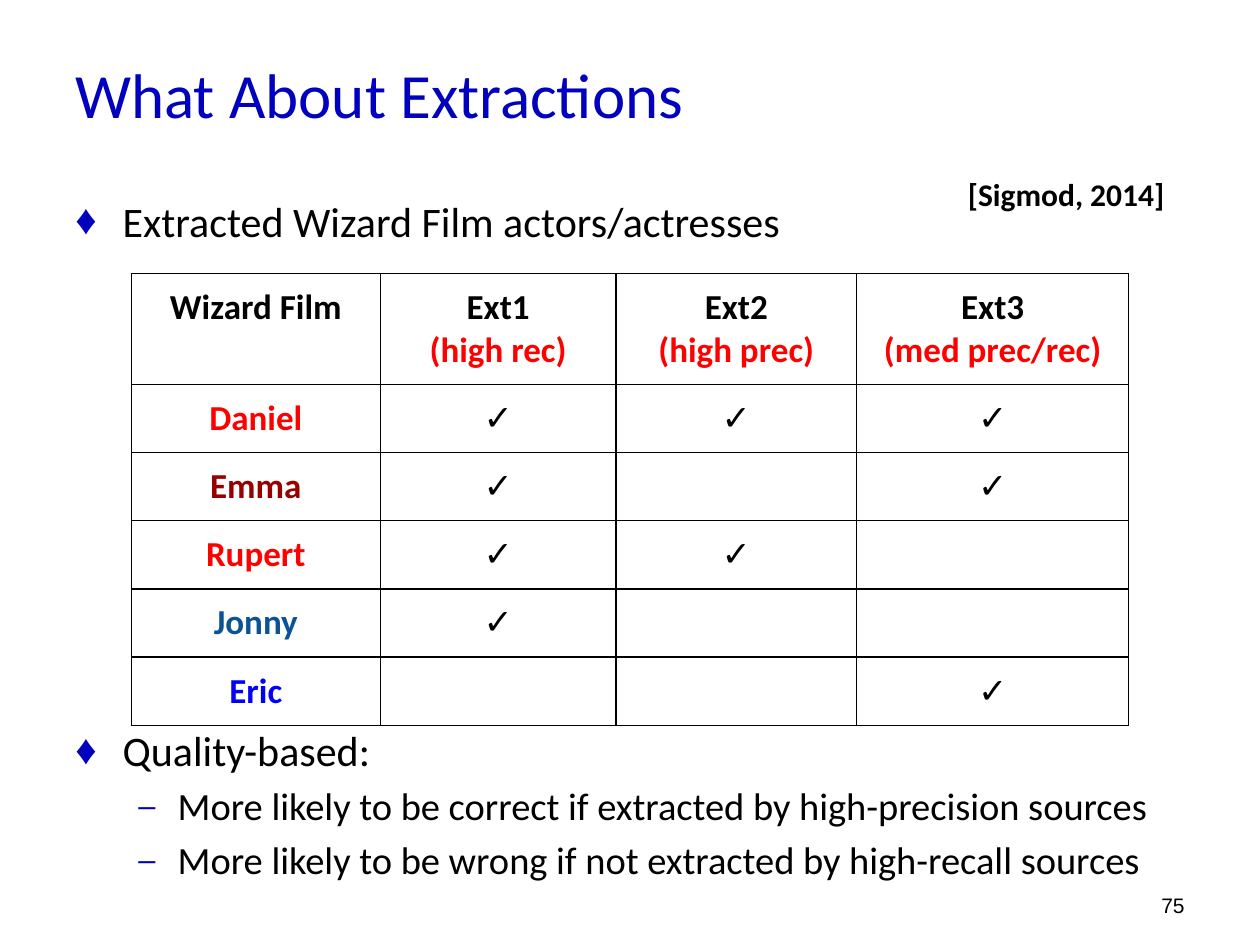
from lxml import etree
from pptx import Presentation
from pptx.dml.color import RGBColor
from pptx.enum import text
from pptx.oxml import ns
from pptx.util import Pt

PP, MSO = text.PP_ALIGN, text.MSO_ANCHOR


def rgb(value):
    return RGBColor.from_string(value)


def write(p, value, size, color="000000", name="Calibri", bold=False, align=PP.LEFT):
    p.alignment = align
    r = p.add_run()
    r.text = value
    for key, val in {"size": Pt(size), "name": name, "bold": bold}.items():
        setattr(r.font, key, val)
    r.font.color.rgb = rgb(color)


prs = Presentation()
prs.slide_width, prs.slide_height = Pt(720), Pt(540)
s = prs.slides.add_slide(prs.slide_layouts[6])

labels = [
    ((36, 22.3, 648, 62), MSO.MIDDLE, "What About Extractions",
     {"size": 36, "color": "0000BE"}),
    ((516, 491.8, 168, 36), MSO.BOTTOM, "75",
     {"size": 12, "name": "Arial", "align": PP.RIGHT}),
    ((546, 84.2, 165.6, 53.3), MSO.MIDDLE, "[Sigmod, 2014]",
     {"size": 18, "bold": True}),
]
for box, anchor, value, style in labels:
    tf = s.shapes.add_textbox(*map(Pt, box)).text_frame
    tf.word_wrap, tf.vertical_anchor = True, anchor
    write(tf.paragraphs[0], value, **style)

levels = [
    {"size": 24, "left": 27, "hang": 27, "char": "♦", "pct": 100},
    {"size": 22, "left": 58.5, "hang": 22.5, "char": "–", "pct": 80},
]
bodies = [
    ((36, 108, 684, 40), [(0, "Extracted Wizard Film actors/actresses")]),
    ((36, 410.4, 684, 104), [
        (0, "Quality-based:"),
        (1, "More likely to be correct if extracted by high-precision sources"),
        (1, "More likely to be wrong if not extracted by high-recall sources"),
    ]),
]
for box, items in bodies:
    tf = s.shapes.add_textbox(*map(Pt, box)).text_frame
    tf.word_wrap = True
    for i, (level, value) in enumerate(items):
        p = tf.add_paragraph() if i else tf.paragraphs[0]
        fmt = levels[level]
        p.level = level
        p.space_before = Pt(4.4 if i else 0)
        pPr = p._p.get_or_add_pPr()
        pPr.set("marL", str(Pt(fmt["left"])))
        pPr.set("indent", str(-Pt(fmt["hang"])))
        clr = etree.SubElement(pPr, ns.qn("a:buClr"))
        etree.SubElement(clr, ns.qn("a:srgbClr"), val="0000BE")
        etree.SubElement(pPr, ns.qn("a:buSzPct"), val=str(fmt["pct"] * 1000))
        etree.SubElement(pPr, ns.qn("a:buFont"), typeface="Arial")
        etree.SubElement(pPr, ns.qn("a:buChar"), char=fmt["char"])
        write(p, value, fmt["size"])

RED = "FF0000"
rows = [
    [[("Wizard Film", "000000")]] + [
        [(name, "000000"), (quality, RED)] for name, quality in (
            ("Ext1", "(high rec)"), ("Ext2", "(high prec)"), ("Ext3", "(med prec/rec)"))]
]
for name, color, marks in (
    ("Daniel", RED, (1, 1, 1)),
    ("Emma", "980000", (1, 0, 1)),
    ("Rupert", RED, (1, 1, 0)),
    ("Jonny", "0B5394", (1, 0, 0)),
    ("Eric", "0000FF", (0, 0, 1)),
):
    rows.append([[(name, color)]] + [[("✓", "000000")] if m else [] for m in marks])

widths = [142.4, 134.6, 137.6, 155.4]
heights = [63.5] + [38.9] * 5
tbl = s.shapes.add_table(6, 4, Pt(75), Pt(156.4), Pt(sum(widths)), Pt(sum(heights))).table
for key in ("first_row", "horz_banding"):
    setattr(tbl, key, False)
for col, width in zip(tbl.columns, widths):
    col.width = Pt(width)
for row, height, values in zip(tbl.rows, heights, rows):
    row.height = Pt(height)
    for cell, lines in zip(row.cells, values):
        for side in ("left", "right", "top", "bottom"):
            setattr(cell, f"margin_{side}", Pt(7.2))
        for i, (value, color) in enumerate(lines):
            p = cell.text_frame.add_paragraph() if i else cell.text_frame.paragraphs[0]
            write(p, value, 20, color, bold=True, align=PP.CENTER)
        tcPr = cell._tc.get_or_add_tcPr()
        for edge in ("lnL", "lnR", "lnT", "lnB"):
            ln = etree.SubElement(tcPr, ns.qn(f"a:{edge}"), w=str(Pt(0.75)))
            fill = etree.SubElement(ln, ns.qn("a:solidFill"))
            etree.SubElement(fill, ns.qn("a:srgbClr"), val="000000")
        cell.fill.background()

prs.save("out.pptx")
